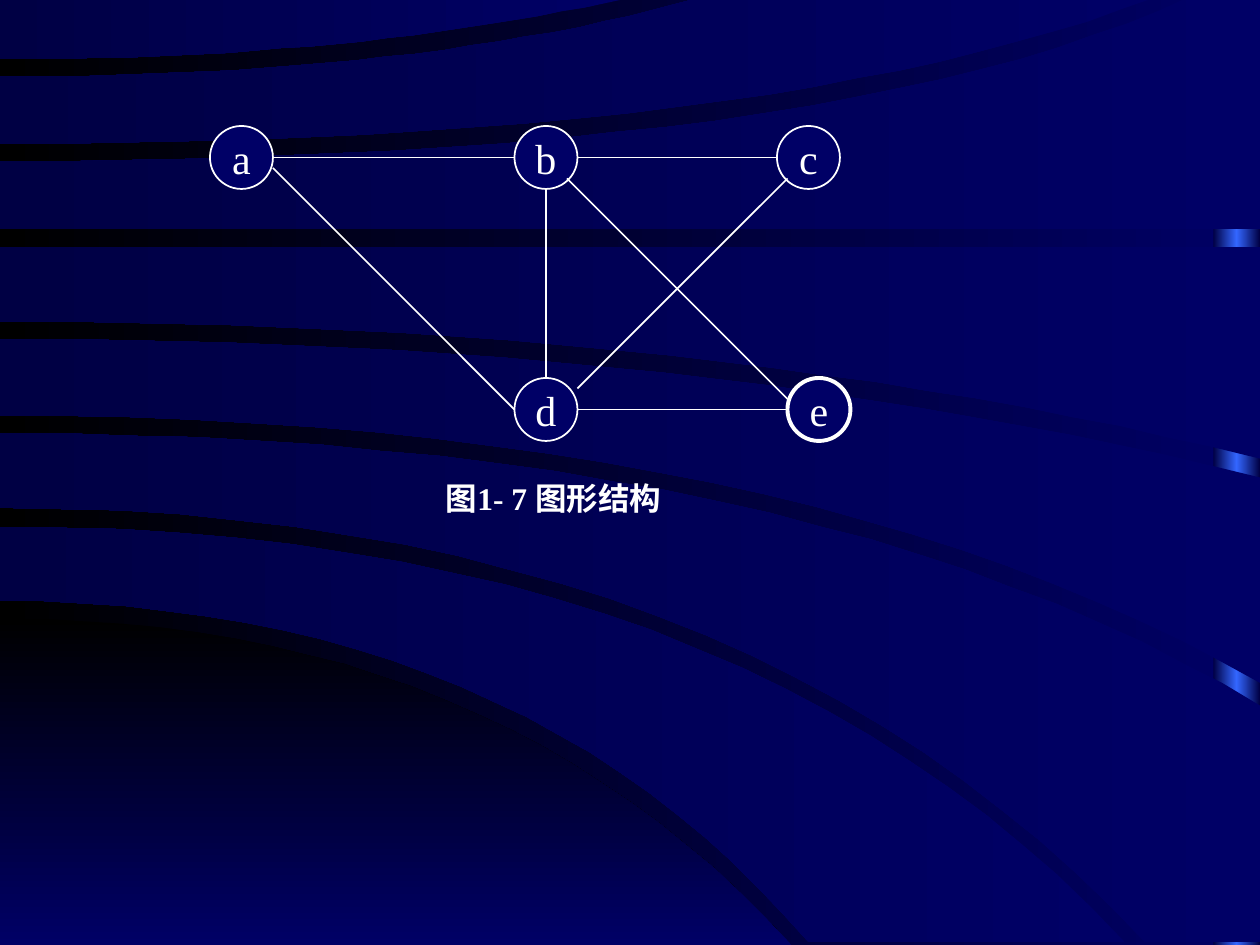
"""Build a slide with an undirected five-node graph on a dark curved-band background."""
import copy

import pptx
import pptx.dml.color
import pptx.enum.shapes
import pptx.enum.text
import pptx.oxml
import pptx.oxml.ns
import pptx.util

Pt = pptx.util.Pt
COLORS = {"black": "000000", "navy": "000066", "dark": "000044", "glow": "3366FF", "white": "FFFFFF"}
FONT = "Times New Roman"
STEPS = 24


def set_gradient(fill, angle, names):
    fill.gradient()
    fill.gradient_angle = angle
    for stop, name, position in zip(fill.gradient_stops, names, (0, 1)):
        stop.color.rgb = pptx.dml.color.RGBColor.from_string(COLORS[name])
        stop.position = position


def curve(start_y, bend_x, end_x, end_y):
    points = []
    for i in range(STEPS + 1):
        t = i / STEPS
        x = 2 * t * (1 - t) * bend_x + t * t * end_x
        y = start_y + t * t * (end_y - start_y)
        points.append((round(x), round(y)))
    return points


white = pptx.dml.color.RGBColor.from_string(COLORS["white"])
prs = pptx.Presentation()
prs.slide_width, prs.slide_height = Pt(720), Pt(540)
s = prs.slides.add_slide(prs.slide_layouts[6])
set_gradient(s.background.fill, 180, ("navy", "black"))

sp = s.shapes.add_shape(pptx.enum.shapes.MSO_SHAPE.RECTANGLE, Pt(693.36), Pt(0), Pt(26.64), Pt(540))
sp.shadow.inherit = False
sp.line.fill.background()
set_gradient(sp.fill, 180, ("dark", "dark"))
stops = sp._element.spPr.find(".//" + pptx.oxml.ns.qn("a:gsLst"))
stops.insert(1, copy.deepcopy(stops[0]))
middle = sp.fill.gradient_stops[1]
middle.color.rgb = pptx.dml.color.RGBColor.from_string(COLORS["glow"])
middle.position = 0.5

band_colors = (180, ("navy", "dark"))
bands = [
    ((491, 393, 628, 750), [(0, 750)], None, (270, ("black", "navy"))),
    ((418, 587, 893, 748), [], (477, 410, 642, 748), band_colors),
    ((344, 640, 1000, 560), [(1000, 748)], (403, 590, 909, 748), band_colors),
    ((269, 556, 1000, 379), [], (330, 630, 1000, 542), band_colors),
    ((196, 500, 1000, 196), [], (255, 564, 1000, 364), band_colors),
    ((128, 664, 943, -2), [(1000, -2)], (182, 500, 1000, 182), band_colors),
    ((61, 334, 556, -2), [], (114, 614, 917, -2), band_colors),
    ((-2, 250, 501, -2), [], (47, 282, 501, -2), band_colors),
]
for upper, corners, lower, (angle, names) in bands:
    points = curve(*upper) + corners
    if lower:
        points += reversed(curve(*lower))
    builder = s.shapes.build_freeform(*points[0], scale=Pt(0.72))
    builder.add_line_segments(points[1:], close=True)
    sp = builder.convert_to_shape()
    sp.shadow.inherit = False
    sp.line.fill.background()
    set_gradient(sp.fill, angle, names)

sp = s.shapes.add_textbox(Pt(247.68), Pt(270), Pt(146), Pt(29))
tf = sp.text_frame
tf.word_wrap = False
tf.auto_size = pptx.enum.text.MSO_AUTO_SIZE.SHAPE_TO_FIT_TEXT
r = tf.paragraphs[0].add_run()
r.text = "图1- 7 图形结构"
for key, value in {"name": FONT, "size": Pt(18), "bold": True}.items():
    setattr(r.font, key, value)
r.font.color.rgb = white

size = 36
nodes = [("b", 294, 72, 1), ("a", 120, 72, 1), ("d", 294, 216, 1), ("c", 444, 72, 1), ("e", 450, 216, 2.25)]
for label, x, y, width in nodes:
    sp = s.shapes.add_shape(pptx.enum.shapes.MSO_SHAPE.OVAL, Pt(x), Pt(y), Pt(size), Pt(size))
    sp.shadow.inherit = False
    sp.fill.solid()
    sp.fill.fore_color.rgb = pptx.dml.color.RGBColor.from_string(COLORS["navy"])
    sp.line.color.rgb = white
    sp.line.width = Pt(width)
    tf = sp.text_frame
    tf.word_wrap = False
    tf.vertical_anchor = pptx.enum.text.MSO_ANCHOR.MIDDLE
    p = tf.paragraphs[0]
    p.alignment = pptx.enum.text.PP_ALIGN.CENTER
    r = p.add_run()
    r.text = label
    for key, value in {"name": FONT, "size": Pt(24)}.items():
        setattr(r.font, key, value)
    r.font.color.rgb = white

edges = [
    (156, 90, 294, 90), (330, 90, 444, 90), (312, 108, 312, 216), (330, 234, 450, 234),
    (450, 102, 330, 222), (324, 102, 450, 228), (156, 96, 294, 234)]
for edge in edges:
    cx = s.shapes.add_connector(pptx.enum.shapes.MSO_CONNECTOR.STRAIGHT, *map(Pt, edge))
    cx.line.color.rgb = white
    cx.line.width = Pt(1)
    cx._element.spPr.append(pptx.oxml.parse_xml("<a:effectLst %s/>" % pptx.oxml.ns.nsdecls("a")))

prs.save("out.pptx")
